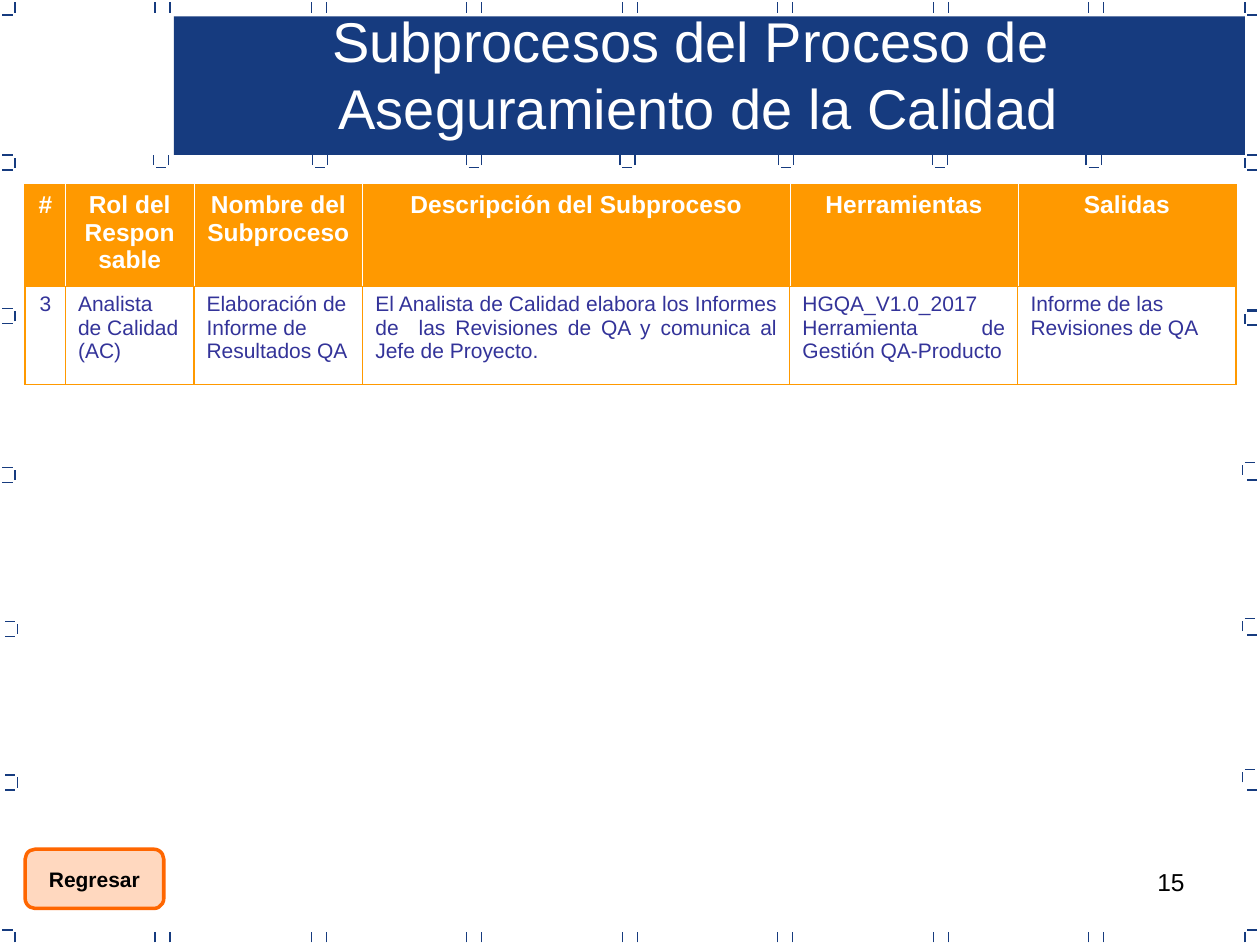
from dataclasses import dataclass

import pptx
import pptx.dml.color
import pptx.enum.shapes
import pptx.enum.text
import pptx.oxml
import pptx.oxml.ns
import pptx.util

PX = 9144  # EMU per px, 100 px to the inch
FONT = "Arial"
COLORS = {"navy": "163B7F", "amber": "FF9900", "orange": "FF6600",
          "indigo": "333399", "white": "FFFFFF", "black": "000000"}
TICK = 8  # length of one border tick
GAP = 2   # gap between a tick and its corner
SPAN = TICK + 2 * GAP
ALIGN = pptx.enum.text.PP_ALIGN
ANCHOR = pptx.enum.text.MSO_ANCHOR


@dataclass(frozen=True)
class Mark:
    x: int
    y: int


@dataclass(frozen=True)
class Column:
    width: int
    heading: str
    entry: str
    align: ALIGN


LEFT_MARKS = [Mark(2, 123), Mark(2, 245), Mark(2, 371), Mark(4, 493), Mark(4, 615)]
RIGHT_MARKS = [Mark(988, 123), Mark(988, 247), Mark(986, 367), Mark(986, 491), Mark(986, 611)]
RIGHT_LOWER_TICKS = [135, 246, 258, 381, 504, 627]
BANNER_MARKS = [Mark(x, 123) for x in (122, 248, 370, 492, 618, 740, 862)]
EDGE_PAIRS = [round(123.4 + 123.5 * i) for i in range(7)]

COLUMNS = [
    Column(32, "#", "3", ALIGN.CENTER),
    Column(102, "Rol del Responsable", "Analista de Calidad (AC)", ALIGN.LEFT),
    Column(134, "Nombre del Subproceso", "Elaboración de Informe de Resultados QA", ALIGN.LEFT),
    Column(339, "Descripción del Subproceso",
           "El Analista de Calidad elabora los Informes de  las Revisiones de QA "
           "y comunica al Jefe de Proyecto.", ALIGN.JUSTIFY),
    Column(181, "Herramientas", "HGQA_V1.0_2017 Herramienta de Gestión QA-Producto", ALIGN.JUSTIFY),
    Column(173, "Salidas", "Informe de las Revisiones de QA", ALIGN.LEFT),
]
ROW_HEIGHTS = (80, 78)


def px(*lengths: int) -> list[pptx.util.Emu]:
    return [pptx.util.Emu(length * PX) for length in lengths]


def rgb(name: str) -> pptx.dml.color.RGBColor:
    return pptx.dml.color.RGBColor.from_string(COLORS[name])


def write(frame, text: str, size: int, color: str, align: ALIGN, bold: bool = False) -> None:
    frame.text = text
    for paragraph in frame.paragraphs:
        paragraph.alignment = align
        for run in paragraph.runs:
            run.font.name = FONT
            run.font.size = pptx.util.Pt(size)
            run.font.bold = bold
            run.font.color.rgb = rgb(color)


def draw_tick(slide, x1: int, y1: int, x2: int, y2: int) -> None:
    tick = slide.shapes.add_connector(
        pptx.enum.shapes.MSO_CONNECTOR.STRAIGHT, *px(x1, y1, x2, y2))
    tick.line.color.rgb = rgb("navy")
    tick.line.width = pptx.util.Pt(0.75)
    pptx.oxml.ns.qn("a:effectLst")
    tick.element.spPr.append(pptx.oxml.parse_xml(
        f'<a:effectLst {pptx.oxml.ns.nsdecls("a")}/>'))


def draw_upright(slide, x: int, top: int) -> None:
    draw_tick(slide, x, top + TICK, x, top)


def draw_level(slide, left: int, y: int) -> None:
    draw_tick(slide, left, y, left + TICK, y)


def draw_border(slide) -> None:
    # Pairs along the top and bottom edges, and the four corners
    for top in (2, 740):
        for x in EDGE_PAIRS:
            draw_upright(slide, x, top)
            draw_upright(slide, x + SPAN, top)
        for x in (12, 988):
            draw_upright(slide, x, top)
    for y in (12, 738):
        for left in (2, 990):
            draw_level(slide, left, y)
    # Brackets down the two sides
    for mark in LEFT_MARKS:
        draw_level(slide, mark.x, mark.y)
        draw_level(slide, mark.x, mark.y + SPAN)
        draw_upright(slide, mark.x + TICK + GAP, mark.y + GAP)
    for mark in RIGHT_MARKS:
        draw_level(slide, mark.x + GAP, mark.y)
        draw_upright(slide, mark.x, mark.y + GAP)
    for y in RIGHT_LOWER_TICKS:
        draw_level(slide, 990, y)
    # Brackets under the banner
    for mark in BANNER_MARKS:
        draw_upright(slide, mark.x, mark.y)
        draw_upright(slide, mark.x + SPAN, mark.y)
        draw_level(slide, mark.x + GAP, mark.y + TICK + GAP)


def set_borders(cell, **sides: tuple[str, float]) -> None:
    properties = cell._tc.get_or_add_tcPr()
    for position, side in enumerate("LRTB"):
        color, width = sides[side]
        properties.insert(position, pptx.oxml.parse_xml(
            f'<a:ln{side} {pptx.oxml.ns.nsdecls("a")} w="{pptx.util.Pt(width)}">'
            f'<a:solidFill><a:srgbClr val="{COLORS[color]}"/></a:solidFill></a:ln{side}>'))


def draw_subprocesses(slide) -> None:
    table = slide.shapes.add_table(
        len(ROW_HEIGHTS), len(COLUMNS),
        *px(20, 147, sum(c.width for c in COLUMNS), sum(ROW_HEIGHTS))).table
    table.first_row = table.horz_banding = False
    for row, height in zip(table.rows, ROW_HEIGHTS):
        row.height = px(height)[0]
    outer, middle = ("amber", 1.08), ("amber", 0.75)
    last = len(COLUMNS) - 1
    for i, column in enumerate(COLUMNS):
        table.columns[i].width = px(column.width)[0]
        heading, entry = table.cell(0, i), table.cell(1, i)
        write(heading.text_frame, column.heading, 14, "white", ALIGN.CENTER, bold=True)
        heading.fill.solid()
        heading.fill.fore_color.rgb = rgb("amber")
        write(entry.text_frame, column.entry, 12, "indigo", column.align)
        entry.fill.background()
        for cell, inner, top, bottom in ((heading, ("white", 0.45), outer, middle),
                                         (entry, middle, middle, outer)):
            set_borders(cell, L=outer if i == 0 else inner,
                        R=outer if i == last else inner, T=top, B=bottom)


def main() -> None:
    deck = pptx.Presentation()
    deck.slide_width, deck.slide_height = px(1000, 750)
    slide = deck.slides.add_slide(deck.slide_layouts[5])
    shapes = slide.shapes

    # Page number
    page_number = shapes.add_textbox(*px(717, 683, 233, 52)).text_frame
    page_number.word_wrap = True
    write(page_number, "15", 14, "black", ALIGN.RIGHT)

    # Banner and ticked border
    banner = shapes.add_shape(pptx.enum.shapes.MSO_SHAPE.RECTANGLE, *px(138, 13, 850, 110))
    banner.shadow.inherit = False
    banner.fill.solid()
    banner.fill.fore_color.rgb = rgb("navy")
    banner.line.fill.background()
    draw_border(slide)

    draw_subprocesses(slide)

    # Title, raised above the banner
    title = shapes.title
    title.left, title.top, title.width, title.height = px(146, 0, 817, 117)
    heading = title.text_frame
    heading.word_wrap = True
    heading.auto_size = pptx.enum.text.MSO_AUTO_SIZE.NONE
    heading.vertical_anchor = ANCHOR.TOP
    write(heading, "Subprocesos del Proceso de \nAseguramiento de la Calidad",
          32, "white", ALIGN.CENTER)
    title.element.getparent().append(title.element)

    # Return button
    button = shapes.add_shape(pptx.enum.shapes.MSO_SHAPE.FLOWCHART_ALTERNATE_PROCESS,
                              *px(20, 674, 110, 47))
    button.shadow.inherit = False
    button.fill.solid()
    button.fill.fore_color.rgb = rgb("orange")
    tint = button.element.spPr.find(".//" + pptx.oxml.ns.qn("a:srgbClr"))
    tint.append(pptx.oxml.parse_xml(f'<a:alpha {pptx.oxml.ns.nsdecls("a")} val="25000"/>'))
    button.line.color.rgb = rgb("orange")
    button.line.width = pptx.util.Pt(2)
    button.text_frame.word_wrap = False
    button.text_frame.vertical_anchor = ANCHOR.MIDDLE
    write(button.text_frame, "Regresar", 12, "black", ALIGN.CENTER, bold=True)

    deck.save("out.pptx")


if __name__ == "__main__":
    main()
